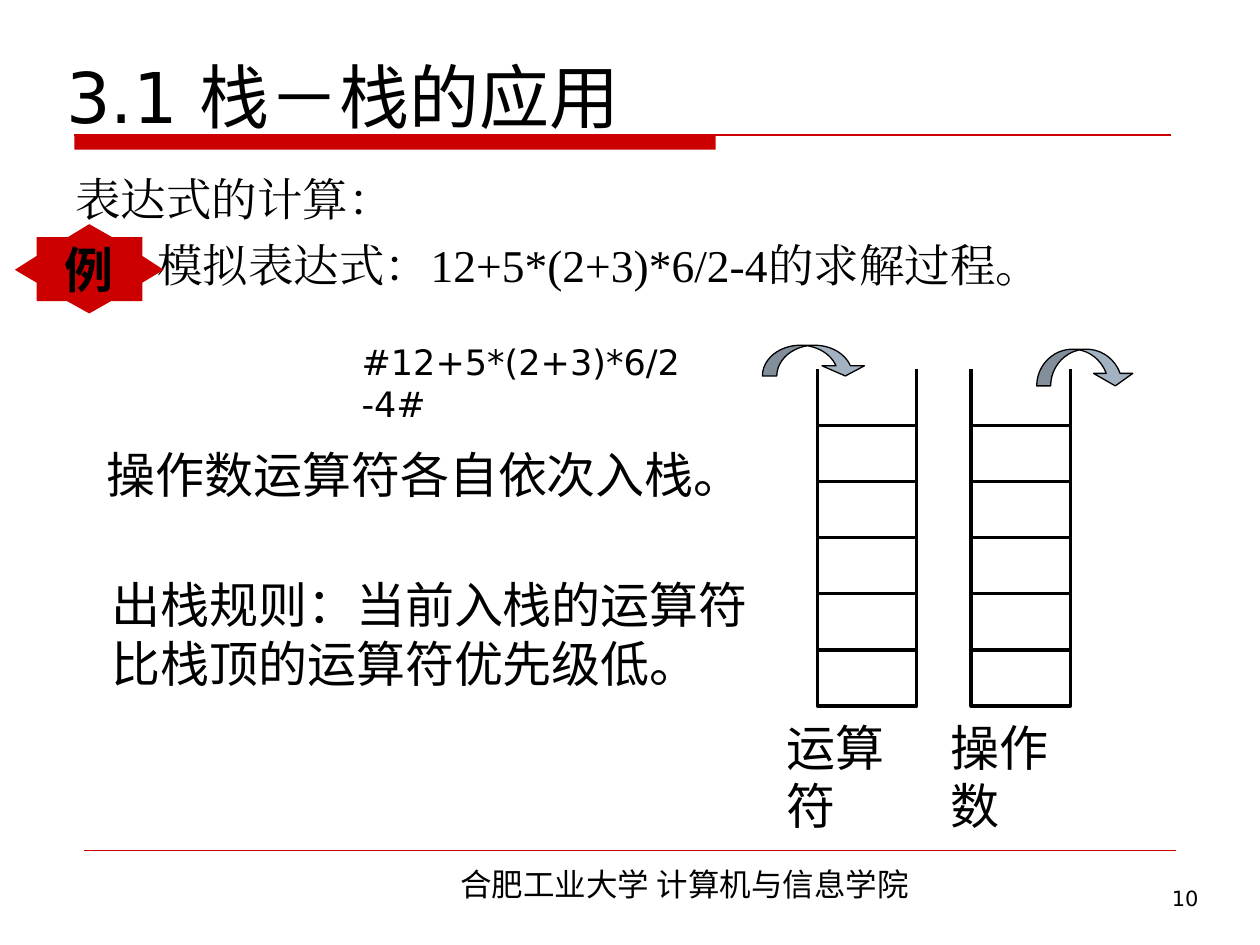
"""Build a slide on evaluating an expression with two stacks."""
from lxml import etree
from pptx import Presentation
from pptx.dml.color import RGBColor
from pptx.enum.shapes import MSO_CONNECTOR, MSO_SHAPE
from pptx.enum.text import MSO_ANCHOR, PP_ALIGN
from pptx.oxml.ns import qn
from pptx.util import Cm, Pt

LEFT, CENTER, RIGHT = PP_ALIGN.LEFT, PP_ALIGN.CENTER, PP_ALIGN.RIGHT
TOP, MIDDLE, BOTTOM = MSO_ANCHOR.TOP, MSO_ANCHOR.MIDDLE, MSO_ANCHOR.BOTTOM
RECTANGLE, CURVED_ARROW = MSO_SHAPE.RECTANGLE, MSO_SHAPE.CURVED_DOWN_ARROW
STRAIGHT = MSO_CONNECTOR.STRAIGHT

BLACK, RED, STEEL = "000000", "CC0000", "A3B2C1"
SANS, SERIF, CHINESE, BOLD_FACE = "DejaVu Sans", "Times New Roman", "Noto Sans CJK SC", "Arial"
STAR = [(0.3, 5.44), (0.74, 5.7), (0.74, 6.07), (1.35, 6.07), (1.8, 6.32), (2.24, 6.07),
        (2.87, 6.07), (2.87, 5.7), (3.3, 5.44), (2.87, 5.16), (2.87, 4.78), (2.26, 4.78),
        (1.8, 4.52), (1.37, 4.78), (0.74, 4.78), (0.74, 5.16)]
CELLS, CELL_WIDTH, CELL_HEIGHT, STACK_TOP, WALL_HEIGHT = 5, 2, 1.13, 8.58, 1.14


def color(value):
    return RGBColor.from_string(value)


class SlideWriter:
    """Holds the style and the slide, and draws each kind of element."""

    def __init__(self, deck):
        self.slide = deck.slides.add_slide(deck.slide_layouts[6])
        self.shapes = self.slide.shapes

    def paint(self, shape, fill, line, width):
        shape.shadow.inherit = False
        if fill:
            shape.fill.solid()
            shape.fill.fore_color.rgb = color(fill)
        else:
            shape.fill.background()
        if line:
            shape.line.color.rgb = color(line)
            shape.line.width = Pt(width)
        else:
            shape.line.fill.background()
        return shape

    def shape(self, kind, left, top, width, height, fill=None, line=None, weight=1):
        shape = self.shapes.add_shape(kind, Cm(left), Cm(top), Cm(width), Cm(height))
        return self.paint(shape, fill, line, weight)

    def line(self, start, end, line, weight):
        connector = self.shapes.add_connector(STRAIGHT, *(Cm(v) for v in start + end))
        connector.line.color.rgb = color(line)
        connector.line.width = Pt(weight)
        etree.SubElement(connector._element.spPr, qn("a:effectLst"))

    def outline(self, points, fill):
        corners = [(Cm(x), Cm(y)) for x, y in points]
        builder = self.shapes.build_freeform(*corners[0])
        builder.add_line_segments(corners[1:], close=True)
        return self.paint(builder.convert_to_shape(), fill, None, 0)

    def span(self, para, text, size, face, bold=False):
        span = para.add_run()
        span.text = text
        span.font.size, span.font.name, span.font.bold = Pt(size), face, bold
        span.font.color.rgb = color(BLACK)
        east_asian = etree.Element(qn("a:ea"), typeface=face)
        span.font._element.find(qn("a:latin")).addnext(east_asian)

    def text(self, left, top, width, height, lines, size, face=SANS,
             align=LEFT, anchor=TOP, wrap=True):
        box = self.shapes.add_textbox(Cm(left), Cm(top), Cm(width), Cm(height))
        frame = box.text_frame
        frame.word_wrap, frame.vertical_anchor = wrap, anchor
        para = frame.paragraphs[0]
        para.alignment = align
        for index, line in enumerate(lines):
            if index:
                para.add_line_break()
            self.span(para, line, size, face)
        return frame

    def star(self, label):
        frame = self.outline(STAR, RED).text_frame
        frame.word_wrap, frame.vertical_anchor = False, MIDDLE
        para = frame.paragraphs[0]
        para.alignment = CENTER
        self.span(para, label, 28, BOLD_FACE, bold=True)

    def stack(self, left, label, label_left):
        for row in range(CELLS):
            self.shape(RECTANGLE, left, STACK_TOP + row * CELL_HEIGHT,
                       CELL_WIDTH, CELL_HEIGHT, line=BLACK, weight=2)
        for x in (left, left + CELL_WIDTH):
            self.line((x, STACK_TOP), (x, STACK_TOP - WALL_HEIGHT), BLACK, 2)
        self.text(label_left, 14.33, 3.45, 1.45, [label], 28, wrap=False)

    def curved_arrow(self, left, top, width, height, adjustments):
        arrow = self.shape(CURVED_ARROW, left, top, width, height, STEEL, BLACK, 0.75)
        for index, value in enumerate(adjustments):
            arrow.adjustments[index] = value


def main():
    deck = Presentation()
    deck.slide_width, deck.slide_height = Cm(25.4), Cm(19.05)
    writer = SlideWriter(deck)

    writer.shape(RECTANGLE, 1.5, 2.72, 12.93, 0.3, RED)
    writer.line((1.5, 2.72), (23.6, 2.72), RED, 0.75)
    writer.line((1.7, 17.15), (23.7, 17.15), RED, 0.25)
    writer.text(6.1, 17.32, 15.4, 1.02, ["合肥工业大学 计算机与信息学院"], 18, CHINESE, CENTER)
    writer.text(18.9, 17.73, 5.51, 1.32, ["10"], 12, align=RIGHT)
    writer.text(1.09, 0.53, 22.86, 2.36, ["3.1 栈－栈的应用"], 40, anchor=BOTTOM)

    body = writer.text(1.27, 3.33, 22.86, 13.72, ["表达式的计算："], 26, SERIF)
    para = body.add_paragraph()
    para.space_before = Pt(6.5)
    para._p.get_or_add_pPr().set("marL", str(Cm(1.65)))
    writer.span(para, "模拟表达式：12+5*(2+3)*6/2-4的求解过程。", 26, SERIF)
    writer.star("例")

    writer.stack(16.48, "运算符", 15.6)
    writer.stack(19.58, "操作数", 18.92)
    writer.curved_arrow(15.37, 6.96, 2.1, 0.62, (0.47, 1.38, 0.33))
    writer.curved_arrow(20.9, 7.04, 1.98, 0.74, (0.38, 1.07, 0.34))

    writer.text(7.04, 6.73, 7.16, 1.12, ["#12+5*(2+3)*6/2-4#"], 20)
    writer.text(1.9, 8.84, 13.34, 1.45, ["操作数运算符各自依次入栈。"], 28, wrap=False)
    writer.text(2, 11.46, 13.34, 2.64,
                ["出栈规则：当前入栈的运算符", "比栈顶的运算符优先级低。"], 28, wrap=False)
    deck.save("out.pptx")


if __name__ == "__main__":
    main()
